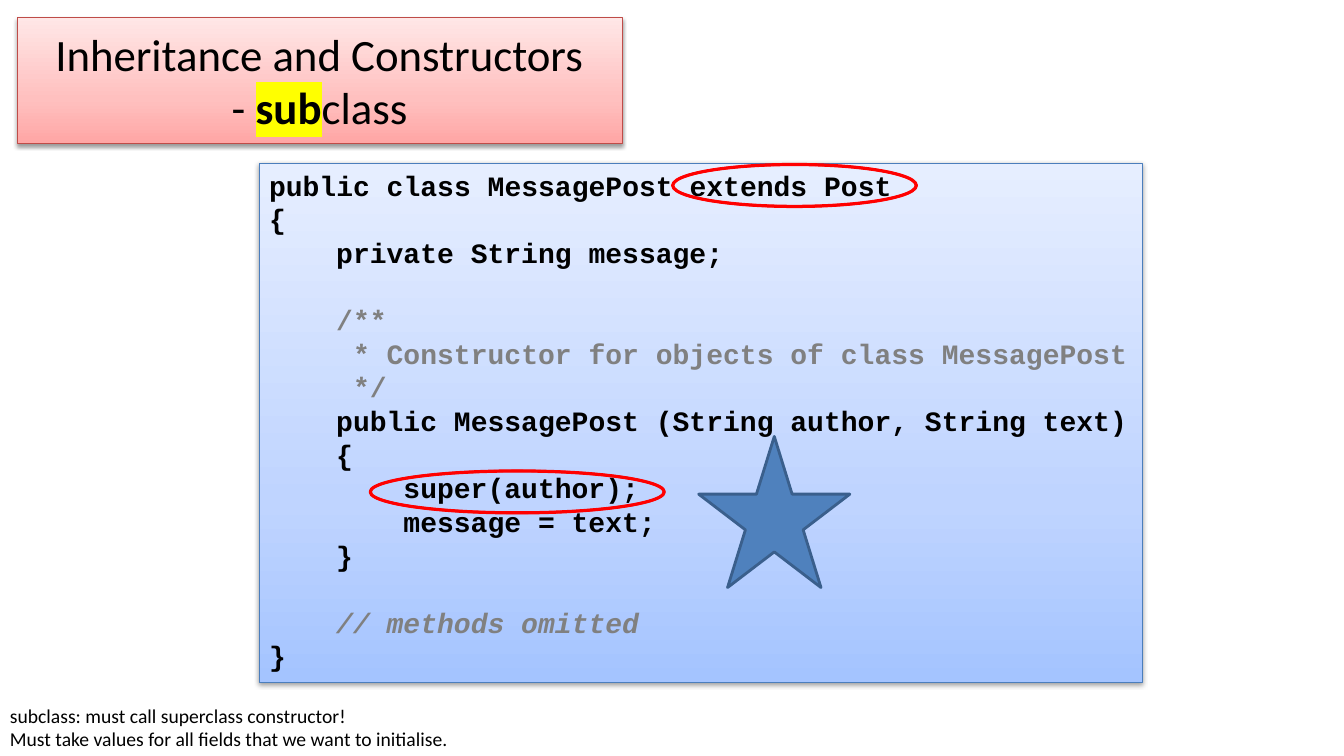
from copy import deepcopy
from lxml.etree import SubElement
from pptx import Presentation
from pptx.dml.color import RGBColor
from pptx.enum.shapes import MSO_SHAPE
from pptx.enum.text import MSO_ANCHOR, PP_ALIGN
from pptx.oxml.ns import qn
from pptx.util import Inches, Pt

BLACK = RGBColor(0, 0, 0)
GRAY = RGBColor(0x80, 0x80, 0x80)
RED = RGBColor(0xFF, 0, 0)
STAR = RGBColor(0x4F, 0x81, 0xBD)
STAR_EDGE = RGBColor(0x3A, 0x5F, 0x8C)
BLUE_EDGE = RGBColor(0x4B, 0x7E, 0xBC)
ROSE_EDGE = RGBColor(0xBF, 0x4C, 0x48)
YELLOW = RGBColor(0xFF, 0xFF, 0)
BLUES = [RGBColor(0xA4, 0xC4, 0xFF), RGBColor(0xBF, 0xD4, 0xFF), RGBColor(0xE6, 0xEE, 0xFF)]
ROSES = [RGBColor(0xFF, 0xA6, 0xA5), RGBColor(0xFF, 0xC0, 0xBF), RGBColor(0xFF, 0xE7, 0xE7)]

CODE_SIZE = 20
CHAR = 0.6 * CODE_SIZE
LINE = 24

CODE = [
    (0, "public class MessagePost extends Post", BLACK, 0),
    (0, "{", BLACK, 0),
    (4, "private String message;", BLACK, 0),
    (4, "/**", GRAY, 1),
    (5, "* Constructor for objects of class MessagePost", GRAY, 0),
    (5, "*/", GRAY, 0),
    (4, "public MessagePost (String author, String text)", BLACK, 0),
    (4, "{", BLACK, 0),
    (8, "super(author);", BLACK, 0),
    (8, "message = text;", BLACK, 0),
    (4, "}", BLACK, 0),
    (4, "// methods omitted", GRAY, 1),
    (0, "}", BLACK, 0),
]
NOTES = [
    "subclass: must call superclass constructor!",
    "Must take values for all fields that we want to initialise.",
]


def add_form(slide, kind, box, edge, width):
    form = slide.shapes.add_shape(kind, *map(Inches, box))
    form.shadow.inherit = False
    form.line.color.rgb = edge
    form.line.width = Pt(width)
    return form


def add_solid(slide, kind, box, color, edge):
    form = add_form(slide, kind, box, edge, 2)
    form.fill.solid()
    form.fill.fore_color.rgb = color
    return form


def add_ring(slide, box):
    ring = add_solid(slide, MSO_SHAPE.DONUT, box, RED, RED)
    ring.adjustments[0] = 0.01


def add_panel(slide, box, colors, edge):
    panel = add_form(slide, MSO_SHAPE.RECTANGLE, box, edge, 0.75)
    panel.fill.gradient()
    panel.fill.gradient_angle = 90
    stops = panel.element.spPr.find(".//" + qn("a:gsLst"))
    stops.insert(1, deepcopy(stops[0]))
    for stop, color, place in zip(panel.fill.gradient_stops, colors, (0, 0.35, 1)):
        stop.color.rgb = color
        stop.position = place
    effects = panel.element.spPr.find(qn("a:effectLst"))
    shade = SubElement(effects, qn("a:outerShdw"), blurRad=str(Pt(3.1)),
                       dist=str(Pt(1.6)), dir="5400000", rotWithShape="0")
    tint = SubElement(shade, qn("a:srgbClr"), val=str(BLACK))
    SubElement(tint, qn("a:alpha"), val="38000")
    panel.text_frame.word_wrap = True
    return panel


def style(run, face, size, color=BLACK, bold=False):
    run.font.name = face
    run.font.size = Pt(size)
    run.font.color.rgb = color
    run.font.bold = bold


def mark(run, color):
    fill = run.font._element.find(qn("a:solidFill"))
    light = SubElement(run.font._element, qn("a:highlight"))
    SubElement(light, qn("a:srgbClr"), val=str(color))
    fill.addnext(light)


def add_code(slide):
    frame = add_panel(slide, (2.57, 1.62, 8.76, 5.15), BLUES, BLUE_EDGE).text_frame
    frame.vertical_anchor = MSO_ANCHOR.TOP
    frame.text = "\n".join(row[1] for row in CODE)
    for para, (indent, text, color, gap) in zip(frame.paragraphs, CODE):
        para.alignment = PP_ALIGN.LEFT
        para.line_spacing = Pt(LINE)
        para.space_before = Pt(LINE * gap)
        para._p.get_or_add_pPr().set("marL", str(Pt(CHAR * indent)))
        run = para.runs[0]
        style(run, "Courier New", CODE_SIZE, color, True)
        run.font.italic = text.startswith("//")


def add_title(slide):
    frame = add_panel(slide, (0.17, 0.17, 6, 1.25), ROSES, ROSE_EDGE).text_frame
    frame.vertical_anchor = MSO_ANCHOR.MIDDLE
    frame.text = "Inheritance and Constructors\n- "
    for word in ("sub", "class"):
        frame.paragraphs[1].add_run().text = word
    for para in frame.paragraphs:
        para.alignment = PP_ALIGN.CENTER
        for run in para.runs:
            style(run, "Calibri", 32, bold=run.text == "sub")
    mark(frame.paragraphs[1].runs[1], YELLOW)


def add_notes(slide):
    frame = slide.shapes.add_textbox(*map(Inches, (0, 6.93, 4.57, 0.81))).text_frame
    frame.word_wrap = False
    frame.text = "\n".join(NOTES)
    for para in frame.paragraphs:
        style(para.runs[0], "Calibri", 14)


def main():
    deck = Presentation()
    deck.slide_width = Inches(13.33)
    deck.slide_height = Inches(7.5)
    slide = deck.slides.add_slide(deck.slide_layouts[6])
    add_code(slide)
    add_title(slide)
    add_ring(slide, (3.67, 4.67, 2.92, 0.42))
    add_solid(slide, MSO_SHAPE.STAR_5_POINT, (6.93, 4.33, 1.5, 1.5), STAR, STAR_EDGE)
    add_ring(slide, (6.67, 1.63, 2.42, 0.42))
    add_notes(slide)
    deck.save("out.pptx")


if __name__ == "__main__":
    main()
